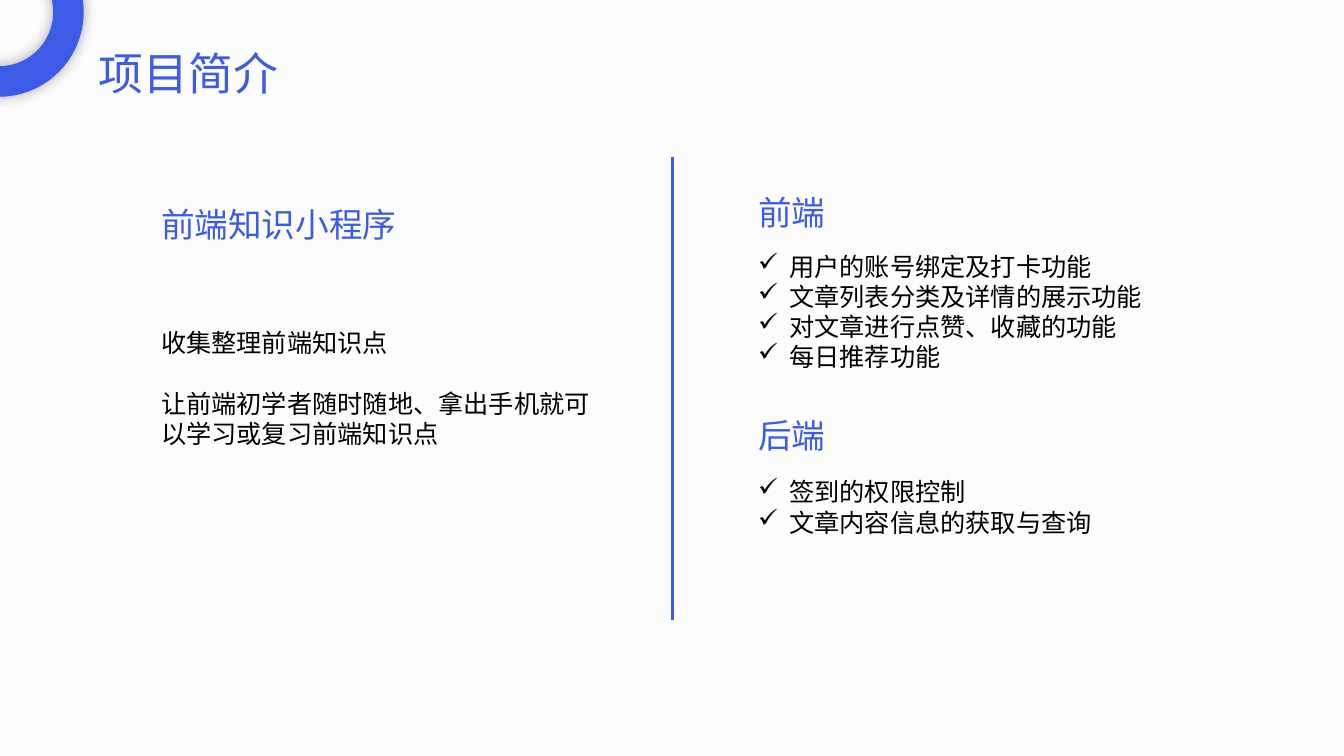
from dataclasses import dataclass

from lxml import etree
from pptx import Presentation
from pptx.dml.color import RGBColor
from pptx.enum.shapes import MSO_CONNECTOR, MSO_SHAPE
from pptx.enum.text import MSO_AUTO_SIZE
from pptx.oxml import parse_xml
from pptx.oxml.ns import nsdecls, qn
from pptx.slide import Slide
from pptx.util import Inches, Pt

STRAIGHT = MSO_CONNECTOR.STRAIGHT
DONUT = MSO_SHAPE.DONUT
GROW = MSO_AUTO_SIZE.SHAPE_TO_FIT_TEXT

BLUE = RGBColor(0x3C, 0x5C, 0xE8)
BLACK = RGBColor(0x00, 0x00, 0x00)
PALE = RGBColor(0xFC, 0xFC, 0xFC)
FONT = "Noto Sans CJK SC"
LEFT_COLUMN = 1.5
RIGHT_COLUMN = 7.42
BULLET_INDENT = Inches(0.31)

TITLE = {"size": Pt(32), "name": FONT}
HEADING = {"size": Pt(24), "name": FONT}
BODY = {"size": Pt(18), "name": FONT}


@dataclass(frozen=True)
class TextBlock:
    left: float
    top: float
    width: float
    height: float
    lines: tuple[str, ...]
    style: dict
    color: RGBColor = BLUE
    bulleted: bool = False
    gap: int = 0


BLOCKS = (
    TextBlock(0.88, 0.4, 4.62, 0.64, ("项目简介",), TITLE),
    TextBlock(LEFT_COLUMN, 1.97, 5.16, 0.5, ("前端知识小程序",), HEADING),
    TextBlock(LEFT_COLUMN, 3.2, 4.51, 1.31, (
        "收集整理前端知识点",
        "让前端初学者随时随地、拿出手机就可以学习或复习前端知识点",
    ), BODY, BLACK, gap=22),
    TextBlock(RIGHT_COLUMN, 1.85, 5.07, 0.5, ("前端",), HEADING),
    TextBlock(RIGHT_COLUMN, 2.44, 4.11, 1.31, (
        "用户的账号绑定及打卡功能",
        "文章列表分类及详情的展示功能",
        "对文章进行点赞、收藏的功能",
        "每日推荐功能",
    ), BODY, BLACK, bulleted=True),
    TextBlock(RIGHT_COLUMN, 4.07, 5.07, 0.5, ("后端",), HEADING),
    TextBlock(RIGHT_COLUMN, 4.68, 4.11, 0.71, (
        "签到的权限控制",
        "文章内容信息的获取与查询",
    ), BODY, BLACK, bulleted=True),
)


def draw_ring(page: Slide) -> None:
    ring = page.shapes.add_shape(
        DONUT, Inches(-0.85), Inches(-0.72), Inches(1.68), Inches(1.68))
    ring.adjustments[0] = 0.18
    ring.fill.solid()
    ring.fill.fore_color.rgb = BLUE
    ring.line.fill.background()
    ring._element.spPr.append(parse_xml(
        f'<a:effectLst {nsdecls("a")}><a:outerShdw blurRad="{Pt(10)}" dist="0" dir="0">'
        '<a:srgbClr val="222A35"><a:alpha val="40000"/></a:srgbClr>'
        '</a:outerShdw></a:effectLst>'))


def draw_divider(page: Slide) -> None:
    divider = page.shapes.add_connector(
        STRAIGHT, Inches(6.67), Inches(1.56), Inches(6.67), Inches(6.15))
    divider.line.color.rgb = BLUE
    divider.line.width = Pt(2.25)
    etree.SubElement(divider._element.spPr, qn("a:effectLst"))


def draw_text(page: Slide, block: TextBlock) -> None:
    box = page.shapes.add_textbox(
        Inches(block.left), Inches(block.top), Inches(block.width), Inches(block.height))
    frame = box.text_frame
    frame.word_wrap = True
    frame.auto_size = GROW
    for index, line in enumerate(block.lines):
        para = frame.add_paragraph() if index else frame.paragraphs[0]
        if block.bulleted:
            properties = para._p.get_or_add_pPr()
            properties.set("marL", str(BULLET_INDENT))
            properties.set("indent", str(-BULLET_INDENT))
            etree.SubElement(properties, qn("a:buChar")).set("char", "✓")
        if index and block.gap:
            para.space_before = Pt(block.gap)
        span = para.add_run()
        span.text = line
        for name, value in block.style.items():
            setattr(span.font, name, value)
        span.font.color.rgb = block.color
        etree.SubElement(span._r.get_or_add_rPr(), qn("a:ea")).set("typeface", FONT)


def main() -> None:
    deck = Presentation()
    deck.slide_width = Inches(13.33)
    deck.slide_height = Inches(7.5)
    page = deck.slides.add_slide(deck.slide_layouts[6])
    page.background.fill.solid()
    page.background.fill.fore_color.rgb = PALE
    draw_ring(page)
    draw_divider(page)
    for block in BLOCKS:
        draw_text(page, block)
    deck.save("out.pptx")


if __name__ == "__main__":
    main()
